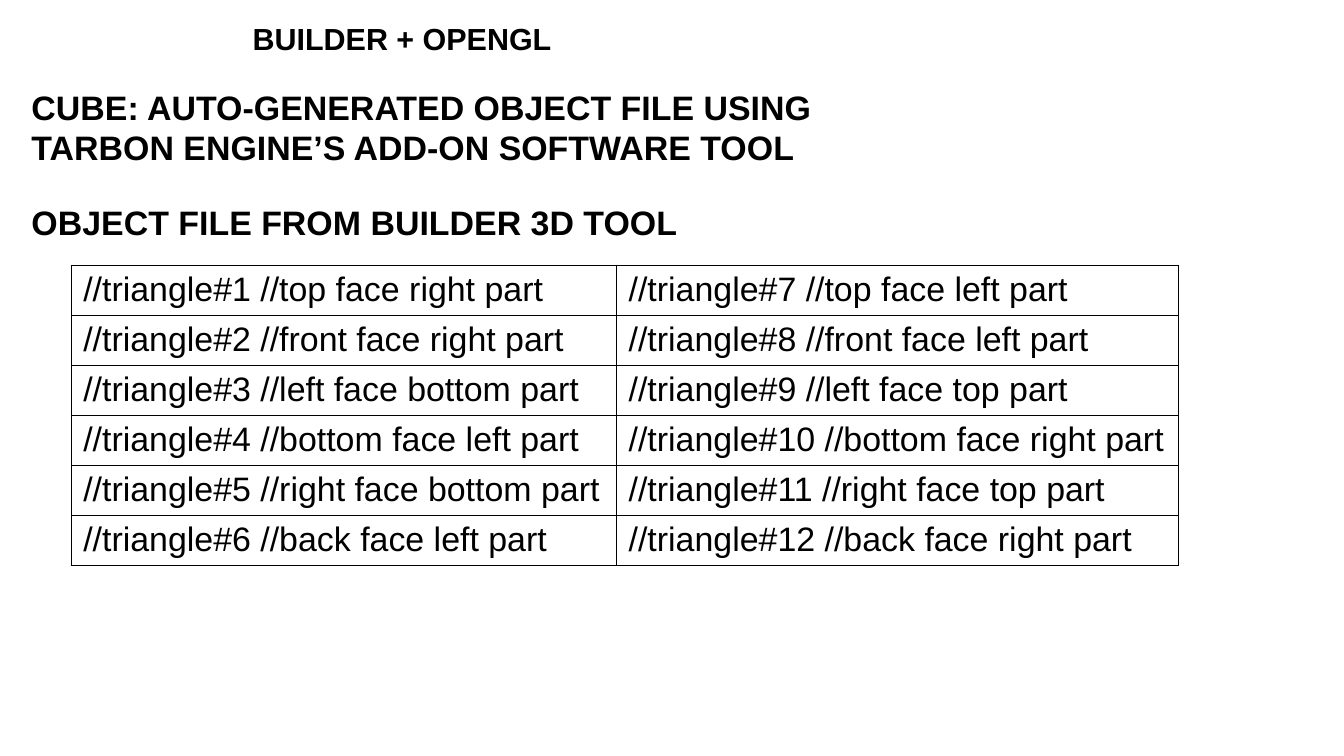
from lxml import etree
from pptx import Presentation
from pptx import util as u
from pptx.dml.color import RGBColor
from pptx.enum import text
from pptx.oxml.ns import qn

COLORS = {"ink": "000000", "paper": "FFFFFF"}
PARTS = [
    "top face right", "front face right", "left face bottom",
    "bottom face left", "right face bottom", "back face left",
    "top face left", "front face left", "left face top",
    "bottom face right", "right face top", "back face right",
]
ROWS = 6


class Deck:
    """Holds the text style and the current slide; lengths are in points."""

    def __init__(self, prs, font="Arial", size=20):
        self.font, self.size = font, size
        self.s = prs.slides.add_slide(prs.slide_layouts[5])
        fill = self.s.background.fill
        fill.solid()
        fill.fore_color.rgb = RGBColor.from_string(COLORS["paper"])

    def add_text(self, tf, line, size=None, bold=False):
        p = tf.paragraphs[0]
        p.alignment = text.PP_ALIGN.LEFT
        r = p.add_run()
        r.text = line
        r.font.name, r.font.size, r.font.bold = self.font, u.Pt(size or self.size), bold
        r.font.color.rgb = RGBColor.from_string(COLORS["ink"])

    def frame(self, sp, line, size=None):
        tf = sp.text_frame
        tf.word_wrap = True
        tf.auto_size = text.MSO_AUTO_SIZE.NONE
        tf.vertical_anchor = text.MSO_ANCHOR.TOP
        self.add_text(tf, line, size, bold=True)

    def title(self, line, x, y, w, h, size):
        sp = self.s.shapes.title
        sp.left, sp.top, sp.width, sp.height = u.Pt(x), u.Pt(y), u.Pt(w), u.Pt(h)
        self.frame(sp, line, size)

    def heading(self, line, x, y, w, h):
        self.frame(self.s.shapes.add_textbox(u.Pt(x), u.Pt(y), u.Pt(w), u.Pt(h)), line)

    def border(self, cell, width):
        tcPr = cell._tc.get_or_add_tcPr()
        for i, side in enumerate(("lnL", "lnR", "lnT", "lnB")):
            ln = etree.Element(qn("a:" + side), w=str(u.Pt(width)))
            solid = etree.SubElement(ln, qn("a:solidFill"))
            etree.SubElement(solid, qn("a:srgbClr"), val=COLORS["ink"])
            tcPr.insert(i, ln)

    def table(self, columns, x, y, widths, row_h):
        rows = len(columns[0])
        tbl = self.s.shapes.add_table(rows, len(columns), u.Pt(x), u.Pt(y),
                                      u.Pt(sum(widths)), u.Pt(row_h * rows)).table
        tbl.first_row = tbl.horz_banding = False
        for j, (lines, w) in enumerate(zip(columns, widths)):
            tbl.columns[j].width = u.Pt(w)
            for i, line in enumerate(lines):
                cell = tbl.cell(i, j)
                cell.fill.background()
                self.add_text(cell.text_frame, line)
                self.border(cell, 0.57)


def main():
    prs = Presentation()
    prs.slide_width, prs.slide_height = u.Pt(793.5), u.Pt(446.5)
    deck = Deck(prs)

    # Title and headings
    deck.title("BUILDER + OPENGL", 142, 8.5, 202, 31, size=18)
    deck.heading("CUBE: AUTO-GENERATED OBJECT FILE USING "
                 "TARBON ENGINE’S ADD-ON SOFTWARE TOOL", 11.5, 47.5, 530, 52)
    deck.heading("OBJECT FILE FROM BUILDER 3D TOOL", 11.5, 115.5, 530, 29.5)

    # Triangles, numbered down each column
    lines = [f"//triangle#{n} //{part} part" for n, part in enumerate(PARTS, 1)]
    deck.table([lines[:ROWS], lines[ROWS:]], 42, 156.5, [322, 332], 29.5)

    prs.save("out.pptx")


if __name__ == "__main__":
    main()
